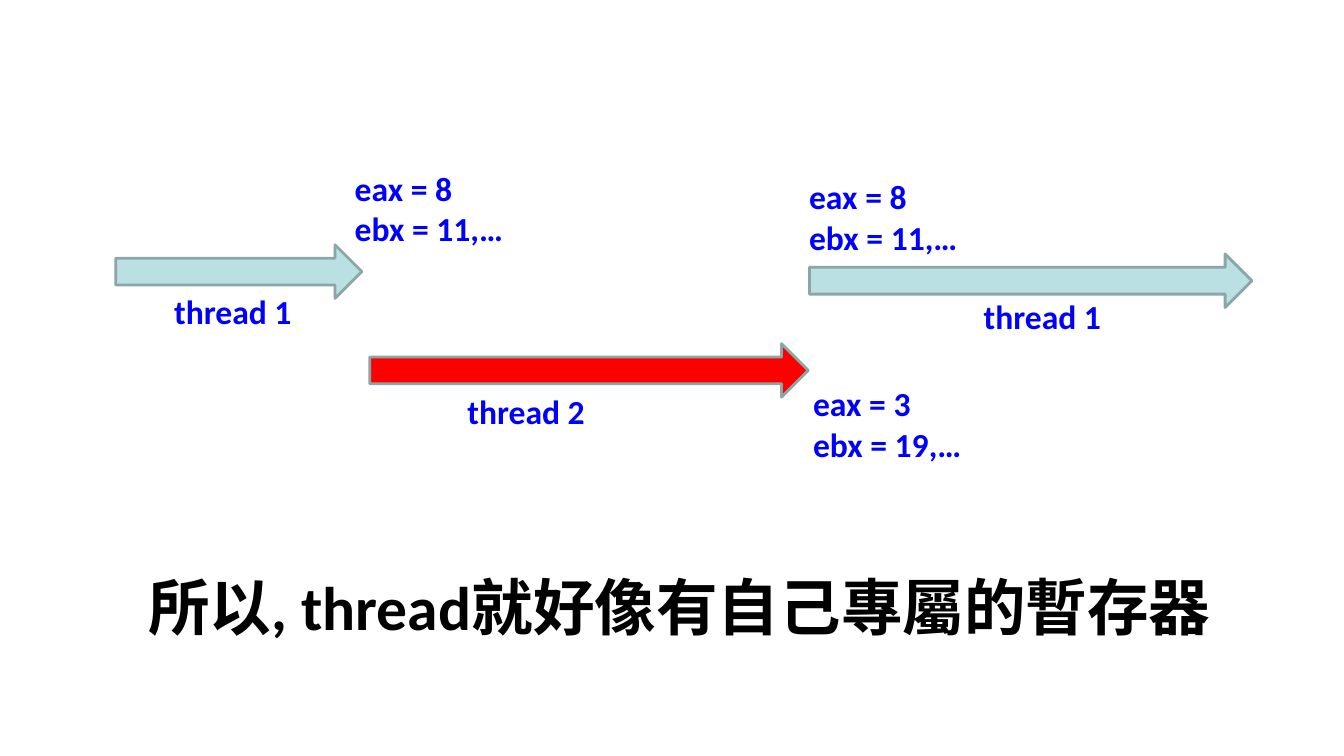
from dataclasses import dataclass

from pptx import Presentation
from pptx import util as u
from pptx.dml.color import RGBColor
from pptx.enum import shapes, text


@dataclass(frozen=True)
class Theme:
    font: str = "Calibri"
    title_size: int = 44
    label_size: int = 24
    title_color: str = "000000"
    label_color: str = "0000FF"
    thread_1: str = "BBE0E3"
    thread_2: str = "FF0000"
    outline: str = "8AA6A8"
    outline_width: int = 2
    arrow_height: float = 1.35


class ThreadSlide:
    def __init__(self, deck, theme):
        self.theme = theme
        self.slide = deck.slides.add_slide(deck.slide_layouts[5])

    def style(self, frame, size, color):
        for paragraph in frame.paragraphs:
            for run in paragraph.runs:
                run.font.name = self.theme.font
                run.font.size = u.Pt(size)
                run.font.bold = True
                run.font.color.rgb = RGBColor.from_string(color)

    def title(self, wording, left, top, width, height):
        conclusion = self.slide.shapes.title
        conclusion.left, conclusion.top = u.Cm(left), u.Cm(top)
        conclusion.width, conclusion.height = u.Cm(width), u.Cm(height)
        frame = conclusion.text_frame
        frame.text = wording
        frame.word_wrap = True
        frame.auto_size = text.MSO_AUTO_SIZE.NONE
        frame.vertical_anchor = text.MSO_ANCHOR.MIDDLE
        frame.paragraphs[0].alignment = text.PP_ALIGN.CENTER
        self.style(frame, self.theme.title_size, self.theme.title_color)

    def arrow(self, left, top, width, color):
        run_time = self.slide.shapes.add_shape(
            shapes.MSO_SHAPE.RIGHT_ARROW, u.Cm(left), u.Cm(top),
            u.Cm(width), u.Cm(self.theme.arrow_height))
        run_time.shadow.inherit = False
        run_time.fill.solid()
        run_time.fill.fore_color.rgb = RGBColor.from_string(color)
        run_time.line.color.rgb = RGBColor.from_string(self.theme.outline)
        run_time.line.width = u.Pt(self.theme.outline_width)

    def label(self, wording, left, top, width, height):
        box = self.slide.shapes.add_textbox(
            u.Cm(left), u.Cm(top), u.Cm(width), u.Cm(height))
        frame = box.text_frame
        frame.text = wording
        frame.word_wrap = False
        frame.auto_size = text.MSO_AUTO_SIZE.SHAPE_TO_FIT_TEXT
        self.style(frame, self.theme.label_size, self.theme.label_color)


def main():
    deck = Presentation()
    deck.slide_width, deck.slide_height = u.Cm(33.87), u.Cm(19.05)
    theme = Theme()
    page = ThreadSlide(deck, theme)

    # Running time of each thread
    for left, top, width, color in (
            (2.92, 6.17, 6.2, theme.thread_1),
            (9.32, 8.66, 11.05, theme.thread_2),
            (20.4, 6.4, 11.15, theme.thread_1)):
        page.arrow(left, top, width, color)

    # Thread names
    for name, left, top in (
            ("thread 1", 4.14, 7.21),
            ("thread 1", 24.54, 7.32),
            ("thread 2", 11.53, 9.73)):
        page.label(name, left, top, 3.51, 1.27)

    # Register values at each switch
    for eax, ebx, left, top in (
            (8, 11, 8.69, 4.11),
            (8, 11, 20.14, 4.32),
            (3, 19, 20.24, 9.53)):
        page.label(f"eax = {eax}\nebx = {ebx},…", left, top, 4.29, 2.31)

    # Conclusion
    page.title("所以, thread就好像有自己專屬的暫存器", 2.74, 13.23, 28.78, 4.09)

    deck.save("out.pptx")


if __name__ == "__main__":
    main()
